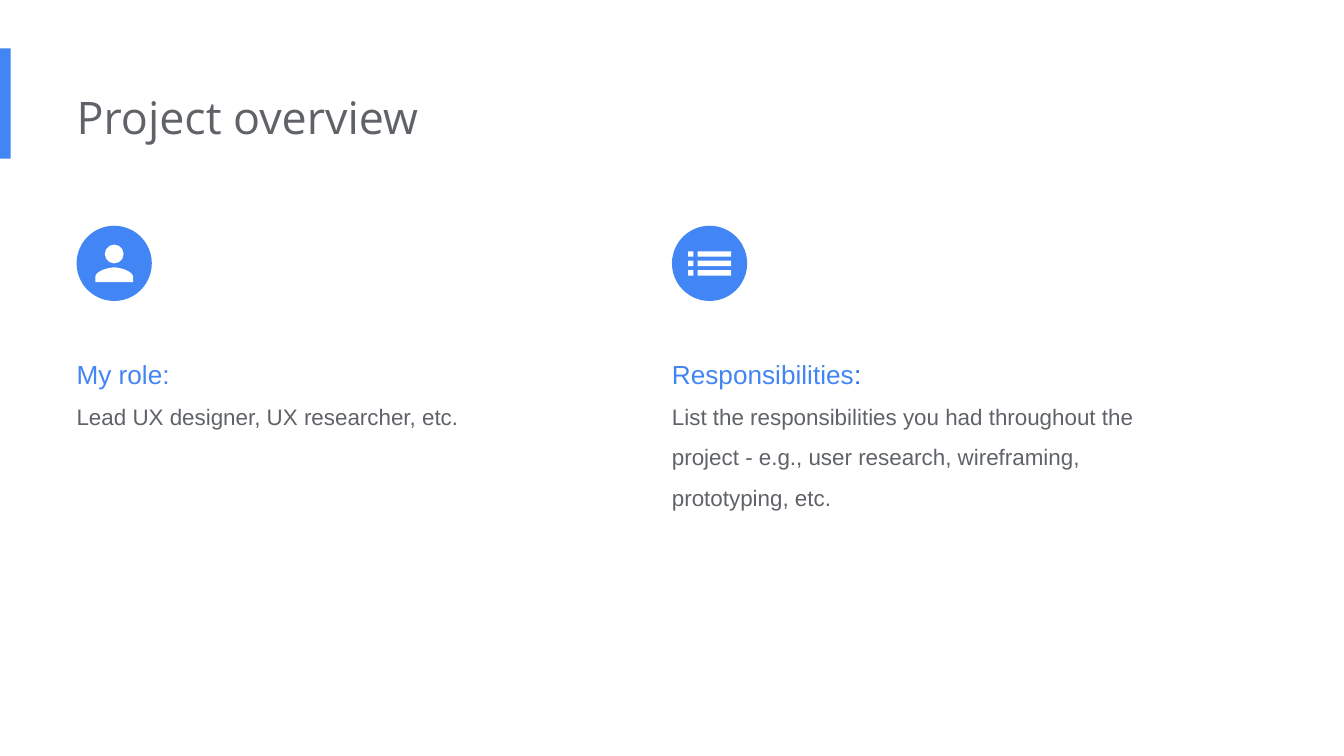
from pptx import Presentation
from pptx.dml.color import RGBColor
from pptx.enum.shapes import MSO_SHAPE
from pptx.enum.text import MSO_ANCHOR, MSO_AUTO_SIZE, PP_ALIGN
from pptx.util import Inches, Pt

RECT, OVAL = MSO_SHAPE.RECTANGLE, MSO_SHAPE.OVAL
TOP, LEFT, NO_FIT = MSO_ANCHOR.TOP, PP_ALIGN.LEFT, MSO_AUTO_SIZE.NONE

THEME = {
    "blue": "4285F4", "deep_blue": "1967D2", "gray": "5F6368", "white": "FFFFFF",
    "title_font": "Open Sans", "body_font": "Arial",
    "title_size": 24, "heading_size": 14, "body_size": 12,
}

TITLE = "Project overview"
# Heading runs pair a text with a theme colour.
COLUMNS = [
    {"icon": "person", "left": 0.57, "height": 0.86,
     "heading": [("My role:", "blue")],
     "body": "Lead UX designer, UX researcher, etc."},
    {"icon": "list", "left": 5, "height": 1.46,
     "heading": [("Responsibilities", "blue"), (":", "deep_blue")],
     "body": "List the responsibilities you had throughout the project - e.g., "
             "user research, wireframing, prototyping, etc."},
]

SLIDE_WIDTH = Inches(10)
SLIDE_HEIGHT = SLIDE_WIDTH * 9 // 16
BADGE_TOP, BADGE_SIZE = 1.68, 0.56
TEXT_TOP, TEXT_WIDTH = 2.45, 3.77


def color(key):
    return RGBColor.from_string(THEME[key])


def paint(shape, key):
    shape.fill.solid()
    shape.fill.fore_color.rgb = color(key)
    shape.line.fill.background()
    shape.shadow.inherit = False


def add_block(slide, kind, left, top, width, height, key):
    block = slide.shapes.add_shape(
        kind, Inches(left), Inches(top), Inches(width), Inches(height))
    paint(block, key)


def add_outline(slide, contours, key):
    """Draw closed contours, given in inches, as one freeform."""
    contours = [[(Inches(x), Inches(y)) for x, y in points] for points in contours]
    builder = slide.shapes.build_freeform(*contours[0][0], scale=1.0)
    for number, points in enumerate(contours):
        if number:
            builder.move_to(*points[0])
        builder.add_line_segments(points[1:], close=True)
    paint(builder.convert_to_shape(), key)


def prepare_frame(shape, left, top, width, height):
    shape.left, shape.top = Inches(left), Inches(top)
    shape.width, shape.height = Inches(width), Inches(height)
    frame = shape.text_frame
    frame.word_wrap, frame.auto_size, frame.vertical_anchor = True, NO_FIT, TOP
    frame.margin_left = 0
    frame.margin_top = frame.margin_right = frame.margin_bottom = Inches(0.1)
    return frame


def write(paragraph, runs, *, size, font="body_font", spacing=1.0):
    paragraph.alignment = LEFT
    paragraph.line_spacing = spacing
    paragraph.space_before = paragraph.space_after = Pt(0)
    for text, key in runs:
        run = paragraph.add_run()
        run.text = text
        run.font.name, run.font.size = THEME[font], Pt(THEME[size])
        run.font.color.rgb = color(key)


def cubic(start, control_1, control_2, end, steps=16):
    """Points along a cubic Bezier curve."""
    points = []
    for step in range(steps + 1):
        t = step / steps
        weights = ((1 - t) ** 3, 3 * t * (1 - t) ** 2, 3 * t ** 2 * (1 - t), t ** 3)
        points.append(tuple(
            sum(w * value for w, value in zip(weights, axis))
            for axis in zip(start, control_1, control_2, end)))
    return points


def draw_person(slide, center_x, center_y):
    add_block(slide, OVAL, center_x - 0.07, center_y - 0.14, 0.14, 0.14, "white")
    right = cubic((0, 0.03), (0.05, 0.03), (0.14, 0.06), (0.14, 0.1)) + [(0.14, 0.14)]
    shoulders = right + [(-x, y) for x, y in reversed(right[1:])]
    add_outline(slide, [[(center_x + x, center_y + y) for x, y in shoulders]], "white")


def draw_list(slide, center_x, center_y):
    bars = []
    for row in (-1, 0, 1):
        top, bottom = center_y + row * 0.07 - 0.02, center_y + row * 0.07 + 0.02
        for start, end in ((-0.16, -0.12), (-0.09, 0.16)):
            left, right = center_x + start, center_x + end
            bars.append([(left, top), (right, top), (right, bottom), (left, bottom)])
    add_outline(slide, bars, "white")


ICONS = {"person": draw_person, "list": draw_list}


def add_column(slide, column):
    left = column["left"]
    add_block(slide, OVAL, left, BADGE_TOP, BADGE_SIZE, BADGE_SIZE, "blue")
    ICONS[column["icon"]](slide, left + BADGE_SIZE / 2, BADGE_TOP + BADGE_SIZE / 2)
    frame = prepare_frame(slide.shapes.add_textbox(0, 0, 0, 0),
                          left, TEXT_TOP, TEXT_WIDTH, column["height"])
    write(frame.paragraphs[0], column["heading"], size="heading_size", spacing=1.5)
    write(frame.add_paragraph(), [(column["body"], "gray")],
          size="body_size", spacing=1.5)


def main():
    prs = Presentation()
    prs.slide_width, prs.slide_height = SLIDE_WIDTH, SLIDE_HEIGHT
    slide = prs.slides.add_slide(prs.slide_layouts[5])
    slide.background.fill.solid()
    slide.background.fill.fore_color.rgb = color("white")

    add_block(slide, RECT, 0, 0.36, 0.08, 0.82, "blue")
    title = prepare_frame(slide.shapes.title, 0.57, 0.57, 6.73, 0.61)
    write(title.paragraphs[0], [(TITLE, "gray")], size="title_size", font="title_font")
    for column in COLUMNS:
        add_column(slide, column)

    prs.save("out.pptx")


if __name__ == "__main__":
    main()
